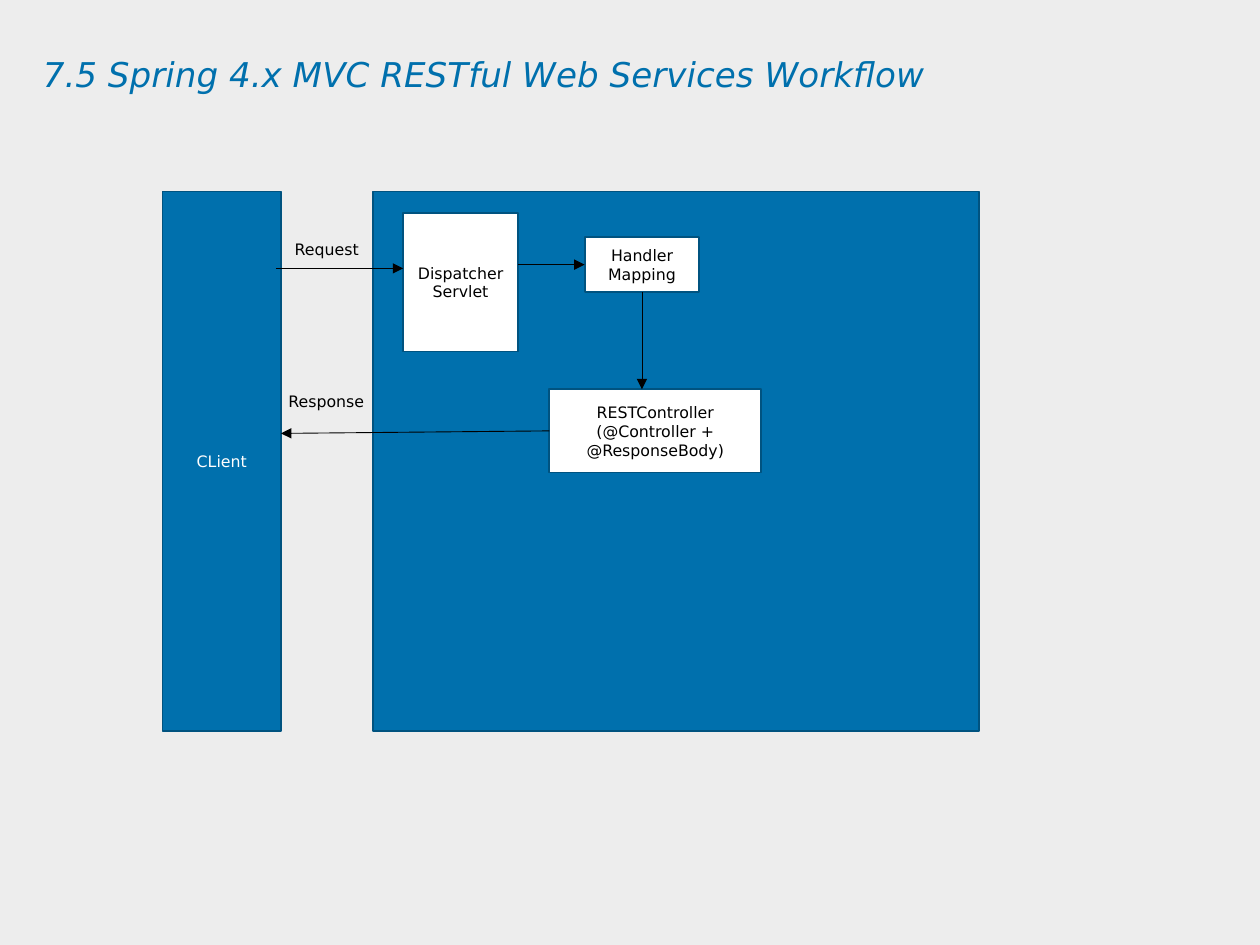
from lxml.etree import SubElement
from pptx import Presentation
from pptx.dml.color import RGBColor
from pptx.enum.shapes import MSO_CONNECTOR, MSO_SHAPE
from pptx.enum.text import MSO_ANCHOR, MSO_AUTO_SIZE, PP_ALIGN
from pptx.oxml.ns import qn
from pptx.util import Inches, Pt

COLORS = {
    "backdrop": "EDEDED",
    "blue": "0070AD",
    "border": "005380",
    "white": "FFFFFF",
    "black": "000000",
}
COLUMNS, ROWS, CELL = 100, 75, Inches(0.1)
TITLE = (3.4, 4.6, 90.9, 9.4)
CLIENT = (12.9, 15.2, 9.4, 42.8)
SERVER = (29.6, 15.2, 48.1, 42.8)
GAP = (22.3, 15.2, 7.3, 42.8)
FONT = {"name": "DejaVu Sans", "size": Pt(9), "italic": False}
TITLE_FONT = FONT | {"size": Pt(19.5), "italic": True}
TITLE_FRAME = {
    "margin_left": 0, "margin_top": 0, "margin_right": 0, "margin_bottom": 0,
    "vertical_anchor": MSO_ANCHOR.TOP, "auto_size": MSO_AUTO_SIZE.NONE, "word_wrap": True,
}
BLOCK_FRAME = {"vertical_anchor": MSO_ANCHOR.MIDDLE, "word_wrap": True}
LABEL_FRAME = {"word_wrap": False, "auto_size": MSO_AUTO_SIZE.SHAPE_TO_FIT_TEXT}


def color(key):
    """Return the palette colour."""
    return RGBColor.from_string(COLORS[key])


def cells(*lengths):
    """Convert grid cells to slide lengths."""
    return [round(length * CELL) for length in lengths]


def within(box, left, top, *size):
    """Shift a place from a region's corner to the slide grid."""
    return cells(box[0] + left, box[1] + top, *size)


def assign(target, values):
    """Set attributes from a dict of format values."""
    for key, value in values.items():
        setattr(target, key, value)


def write(frame, text, frame_values, ink, font=FONT, **paragraph_values):
    """Fill and format a text frame."""
    frame.text = text
    assign(frame, frame_values)
    for paragraph in frame.paragraphs:
        assign(paragraph, paragraph_values)
        for run in paragraph.runs:
            assign(run.font, font)
            run.font.color.rgb = color(ink)


def add_block(slide, place, fill, text="", ink="black"):
    """Add a bordered rectangle with centred text."""
    block = slide.shapes.add_shape(MSO_SHAPE.RECTANGLE, *place)
    block.shadow.inherit = False
    block.fill.solid()
    block.fill.fore_color.rgb = color(fill)
    block.line.color.rgb = color("border")
    block.line.width = Pt(1)
    write(block.text_frame, text, BLOCK_FRAME, ink, alignment=PP_ALIGN.CENTER)
    return block


def add_arrow(slide, start, end):
    """Add a thin straight arrow."""
    arrow = slide.shapes.add_connector(MSO_CONNECTOR.STRAIGHT, *start, *end)
    arrow.line.color.rgb = color("black")
    arrow.line.width = Pt(0.5)
    SubElement(arrow.line._get_or_add_ln(), qn("a:tailEnd"), type="triangle")
    SubElement(arrow._element.spPr, qn("a:effectLst"))
    return arrow


def draw_title(slide, box):
    """Place the slide heading."""
    title = slide.shapes.title
    assign(title, dict(zip(("left", "top", "width", "height"), cells(*box))))
    write(title.text_frame, "7.5 Spring 4.x MVC RESTful Web Services Workflow",
          TITLE_FRAME, "blue", TITLE_FONT, alignment=PP_ALIGN.LEFT, line_spacing=0.9)


def draw_client(slide, box):
    """Place the client column."""
    add_block(slide, cells(*box), "blue", "CLient", "white")


def draw_server(slide, box):
    """Place the server and its components, and return the controller."""
    add_block(slide, cells(*box), "blue")
    add_block(slide, within(box, 2.4, 1.7, 9.1, 11), "white", "Dispatcher Servlet")
    mapping = add_block(slide, within(box, 16.8, 3.6, 9.1, 4.4), "white", "Handler Mapping")
    controller = add_block(slide, within(box, 14, 15.7, 16.8, 6.6), "white",
                           "RESTController\n(@Controller + @ResponseBody)")
    dispatch = add_arrow(slide, within(box, 11.5, 5.8), within(box, 16.8, 5.8))
    dispatch.end_connect(mapping, 1)
    handling = add_arrow(slide, within(box, 21.35, 8), within(box, 21.35, 15.7))
    handling.begin_connect(mapping, 2)
    return controller


def draw_messages(slide, box, controller):
    """Place the request and response between client and server."""
    add_arrow(slide, within(box, -0.4, 6.1), within(box, 9.7, 6.1))
    response = add_arrow(slide, within(box, 21.3, 19), within(box, 0, 19.2))
    response.begin_connect(controller, 1)
    for text, place in (("Request", (0.1, 3.3, 7.2, 2.5)), ("Response", (-0.4, 15.4, 8.1, 2.5))):
        label = slide.shapes.add_textbox(*within(box, *place))
        write(label.text_frame, text, LABEL_FRAME, "black")


def main():
    """Build and save the workflow slide."""
    deck = Presentation()
    deck.slide_width, deck.slide_height = cells(COLUMNS, ROWS)
    slide = deck.slides.add_slide(deck.slide_layouts[5])
    slide.background.fill.solid()
    slide.background.fill.fore_color.rgb = color("backdrop")
    draw_title(slide, TITLE)
    controller = draw_server(slide, SERVER)
    draw_client(slide, CLIENT)
    draw_messages(slide, GAP, controller)
    deck.save("out.pptx")


if __name__ == "__main__":
    main()
